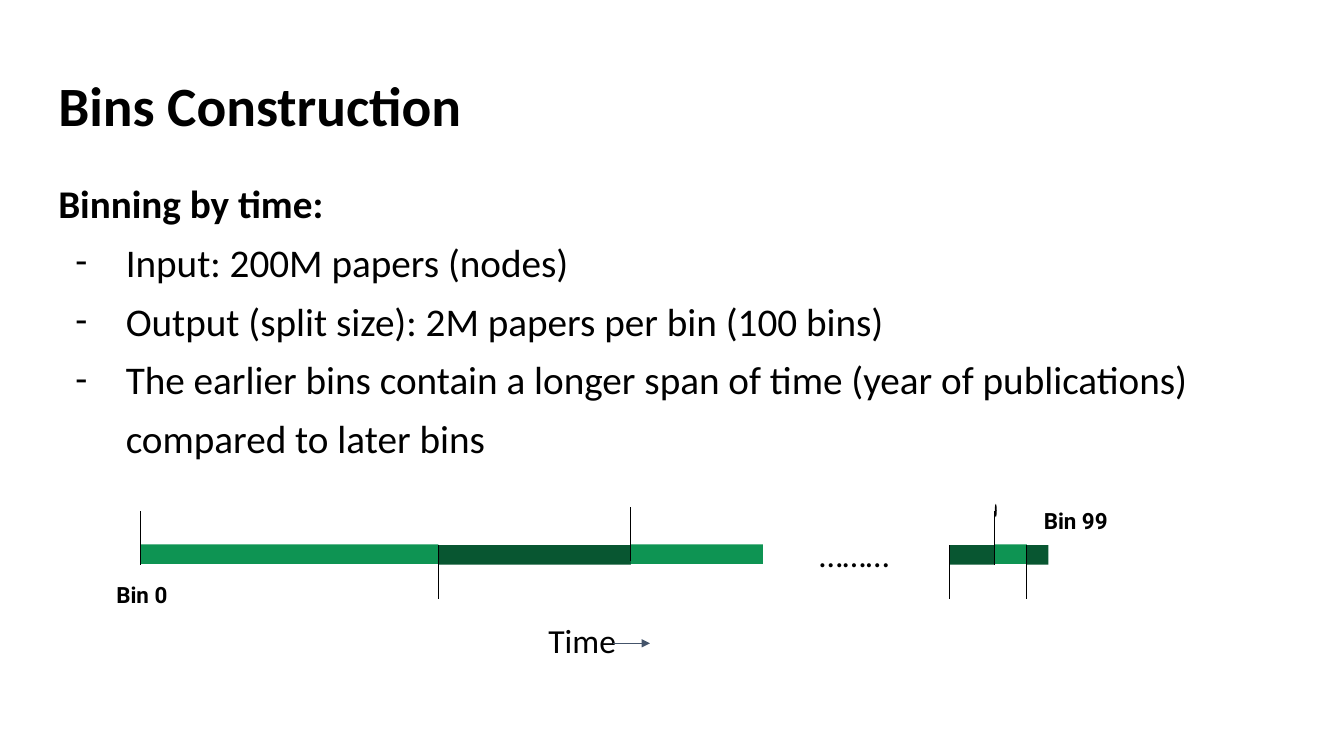
from dataclasses import dataclass

from lxml.etree import SubElement
from pptx import Presentation
from pptx.dml.color import RGBColor
from pptx.enum.shapes import MSO_CONNECTOR as Connector, MSO_SHAPE as Shape
from pptx.enum.text import MSO_ANCHOR as Anchor, MSO_AUTO_SIZE as AutoSize, PP_ALIGN as Align
from pptx.oxml.ns import qn
from pptx.util import Cm, Pt

TITLE = "Bins Construction"
HEADING = "Binning by time:"
POINTS = [
    "Input: 200M papers (nodes)",
    "Output (split size): 2M papers per bin (100 bins)",
    "The earlier bins contain a longer span of time (year of publications) compared to later bins",
]
TITLE_AREA = (1.14, 1.65, 31.55, 2.13)
BODY_AREA = (1.14, 3.89, 31.55, 12.65)

BINS = [
    {"left": 3.53, "right": 11.05, "shade": "light", "tick_top": 12.88},
    {"left": 11.05, "right": 15.9, "shade": "dark", "tick_top": 13.74},
    {"left": 15.9, "right": 19.23, "shade": "light", "tick_top": 12.78},
    {"left": 23.93, "right": 25.07, "shade": "dark", "tick_top": 13.74},
    {"left": 25.07, "right": 25.88, "shade": "light", "tick_top": 12.88},
    {"left": 25.88, "right": 26.42, "shade": "dark", "tick_top": 13.74},
]
BAR_TOP = {"light": 13.72, "dark": 13.74}
BAR_HEIGHT = 0.49
TICK_LENGTH = 1.35
TICK_DOT = (25.07, 12.7, 0.05, 0.33)
TIME_ARROW = (15.44, 16.21, 16.38, 16.21)

BIN_LABELS = [
    ("Bin 0", (1.9, 14.22, 3.35, 1.37)),
    ("Bin 99", (25.65, 12.34, 2.92, 1.37)),
]
AXIS_LABELS = [
    ("………", (20.32, 13.21, 2.92, 0.48)),
    ("Time", (13.49, 15.29, 4.85, 0.91)),
]


@dataclass(frozen=True)
class Theme:
    black: str = "000000"
    light: str = "0E9453"
    dark: str = "085631"
    arrow: str = "44546A"
    text_font: str = "Calibri"
    label_font: str = "Roboto"
    title_size: float = 39.6
    body_size: float = 28
    axis_size: float = 24
    label_size: float = 16
    line_width: float = 0.75


THEME = Theme()


def color(value):
    return RGBColor.from_string(value)


def place(box, area):
    box.left, box.top, box.width, box.height = map(Cm, area)


def prepare_frame(frame):
    frame.word_wrap = True
    frame.auto_size = AutoSize.NONE
    frame.vertical_anchor = Anchor.TOP
    frame.margin_left = frame.margin_right = Cm(0.33)
    frame.margin_top = frame.margin_bottom = Cm(0.33)


def style(para, size, bold=False, font=THEME.text_font, align=Align.LEFT, spacing=1.0):
    para.alignment = align
    para.line_spacing = spacing
    para.space_before = Pt(0)
    for span in para.runs:
        span.font.name = font
        span.font.size = Pt(size)
        span.font.bold = bold
        span.font.color.rgb = color(THEME.black)


def set_bullet(para, mark=None):
    props = para._p.get_or_add_pPr()
    props.set("marL", str(Cm(1.7) if mark else 0))
    props.set("indent", str(Cm(-1.27) if mark else 0))
    if mark:
        SubElement(props, qn("a:buFont"), typeface=THEME.text_font)
        SubElement(props, qn("a:buChar"), char=mark)
    else:
        SubElement(props, qn("a:buNone"))


def add_filled(page, kind, area, fill):
    shape = page.shapes.add_shape(kind, *map(Cm, area))
    shape.shadow.inherit = False
    shape.fill.solid()
    shape.fill.fore_color.rgb = color(fill)
    shape.line.fill.background()


def add_line(page, ends, stroke):
    line = page.shapes.add_connector(Connector.STRAIGHT, *map(Cm, ends))
    line.line.color.rgb = color(stroke)
    line.line.width = Pt(THEME.line_width)
    SubElement(line._element.spPr, qn("a:effectLst"))
    return line


def add_label(page, text, area):
    frame = page.shapes.add_textbox(*map(Cm, area)).text_frame
    prepare_frame(frame)
    frame.text = text
    return frame.paragraphs[0]


def add_text(page):
    title, body = page.placeholders
    place(title, TITLE_AREA)
    prepare_frame(title.text_frame)
    title.text_frame.text = TITLE
    style(title.text_frame.paragraphs[0], THEME.title_size, bold=True, spacing=0.9)

    place(body, BODY_AREA)
    prepare_frame(body.text_frame)
    body.text_frame.text = "\n".join([HEADING, *POINTS])
    for number, para in enumerate(body.text_frame.paragraphs):
        set_bullet(para, "-" if number else None)
        style(para, THEME.body_size, bold=number == 0, spacing=1.25)


def add_timeline(page):
    shades = {"light": THEME.light, "dark": THEME.dark}
    for item in BINS:
        left, shade, top = item["left"], item["shade"], item["tick_top"]
        area = (left, BAR_TOP[shade], item["right"] - left, BAR_HEIGHT)
        add_filled(page, Shape.RECTANGLE, area, shades[shade])
    for item in BINS:
        left, top = item["left"], item["tick_top"]
        add_line(page, (left, top, left, top + TICK_LENGTH), THEME.black)
    add_filled(page, Shape.OVAL, TICK_DOT, THEME.black)

    for text, area in BIN_LABELS:
        para = add_label(page, text, area)
        style(para, THEME.label_size, True, THEME.label_font, Align.CENTER, 1.15)
        para.space_after = Pt(21.3)
    for text, area in AXIS_LABELS:
        style(add_label(page, text, area), THEME.axis_size)
    arrow = add_line(page, TIME_ARROW, THEME.arrow)
    SubElement(arrow.line._get_or_add_ln(), qn("a:tailEnd"), type="triangle")


def main():
    deck = Presentation()
    deck.slide_width, deck.slide_height = Cm(33.87), Cm(19.05)
    page = deck.slides.add_slide(deck.slide_layouts[1])
    add_text(page)
    add_timeline(page)
    deck.save("out.pptx")


if __name__ == "__main__":
    main()
